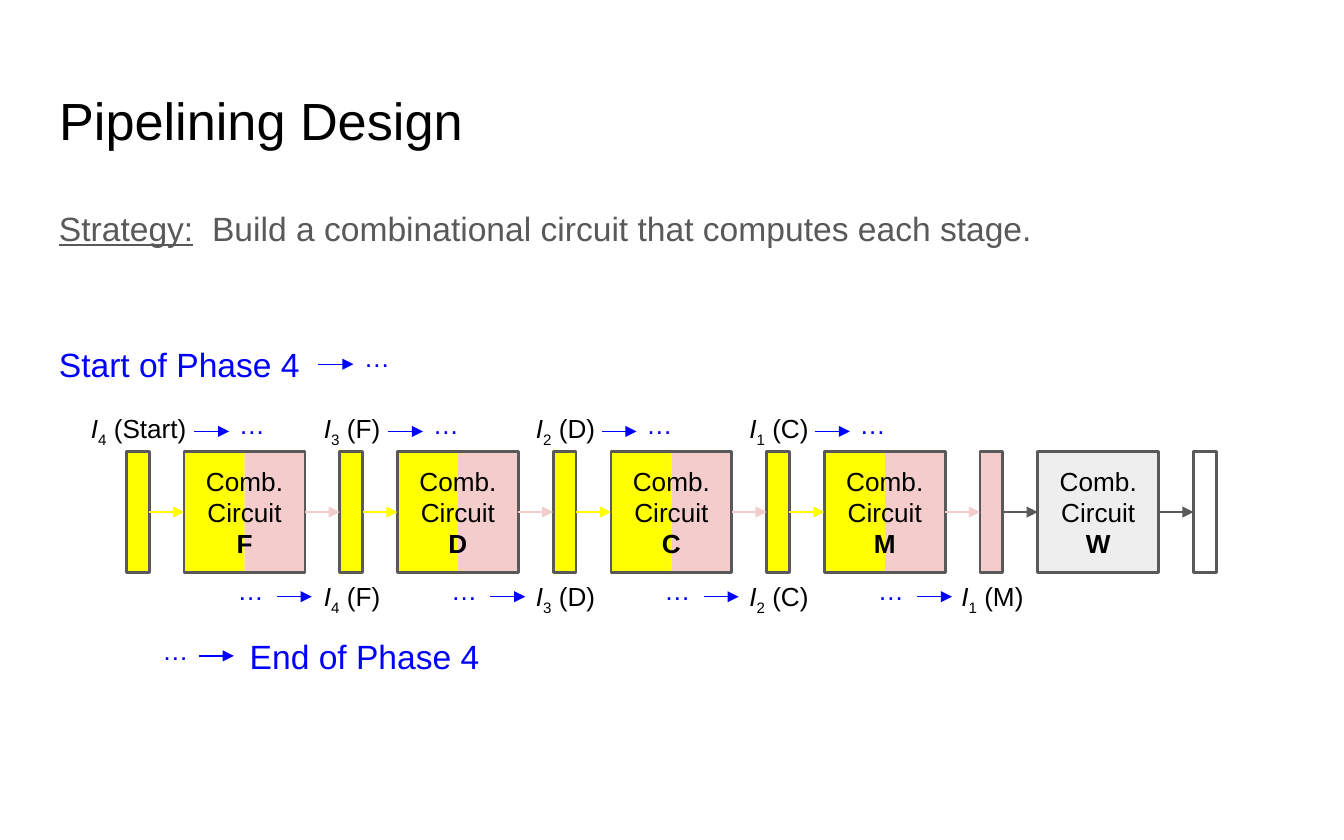
from dataclasses import dataclass

from lxml import etree
from pptx import Presentation
from pptx.dml.color import RGBColor
from pptx.enum.shapes import MSO_CONNECTOR, MSO_SHAPE
from pptx.enum.text import MSO_ANCHOR, PP_ALIGN
from pptx.oxml.ns import qn
from pptx.util import Inches, Pt

RECTANGLE = MSO_SHAPE.RECTANGLE
STRAIGHT = MSO_CONNECTOR.STRAIGHT
LEFT, CENTER = PP_ALIGN.LEFT, PP_ALIGN.CENTER
TOP, MIDDLE = MSO_ANCHOR.TOP, MSO_ANCHOR.MIDDLE
LEFT_SIDE, RIGHT_SIDE = 1, 3

COLUMNS, ROWS = 100, 62.5
PITCH = 15.88
FIRST_REGISTER, FIRST_BLOCK = 9.4, 13.7
REGISTER_WIDTH, BLOCK_SIZE = 1.7, 9
CIRCUIT_TOP = 33.6
ARROW_LENGTH = 2.6
STAGES = "FDCMW"
ACTIVE_STAGES = 4
BEFORE = (("4", "Start"), ("3", "F"), ("2", "D"), ("1", "C"))
AFTER = (("4", "F"), ("3", "D"), ("2", "C"), ("1", "M"))


@dataclass(frozen=True)
class Theme:
    font: str = "Arial"
    ink: str = "000000"
    gray: str = "595959"
    blue: str = "0000FF"
    ready: str = "FFFF00"
    done: str = "F4CCCC"
    idle: str = "EEEEEE"
    title_size: float = 28
    body_size: float = 18
    label_size: float = 14
    outline: float = 1.5
    arrow: float = 0.75


def write_text(frame, paragraphs, *, size, color, font, align=LEFT, anchor=TOP,
               line_spacing=None):
    frame.word_wrap = True
    frame.vertical_anchor = anchor
    frame.margin_left = frame.margin_right = Inches(0.1)
    frame.margin_top = frame.margin_bottom = Inches(0.1)
    for index, runs in enumerate(paragraphs):
        paragraph = frame.add_paragraph() if index else frame.paragraphs[0]
        paragraph.alignment = align
        if line_spacing:
            paragraph.line_spacing = line_spacing
        for text, style in runs:
            run = paragraph.add_run()
            run.text = text
            run.font.name = font
            run.font.size = Pt(size)
            run.font.color.rgb = RGBColor.from_string(color)
            run.font.bold = "bold" in style
            run.font.italic = "italic" in style
            run.font.underline = "underline" in style
            if "subscript" in style:
                run.font._element.set("baseline", "-25000")


class SlideBuilder:
    def __init__(self, presentation, theme):
        self.theme = theme
        self.column = presentation.slide_width / COLUMNS
        self.row = presentation.slide_height / ROWS
        self.slide = presentation.slides.add_slide(presentation.slide_layouts[5])

    def place(self, left, top, width, height):
        return (round(left * self.column), round(top * self.row),
                round(width * self.column), round(height * self.row))

    def title(self, text, *box):
        shape = self.slide.shapes.title
        shape.left, shape.top, shape.width, shape.height = self.place(*box)
        write_text(shape.text_frame, [[(text, "")]], size=self.theme.title_size,
                   color=self.theme.ink, font=self.theme.font, anchor=MIDDLE)

    def text(self, runs, *box, size, color, **style):
        shape = self.slide.shapes.add_textbox(*self.place(*box))
        write_text(shape.text_frame, [runs], size=size, color=color,
                   font=self.theme.font, **style)

    def rectangle(self, *box, fill=None, outlined=True):
        shape = self.slide.shapes.add_shape(RECTANGLE, *self.place(*box))
        shape.shadow.inherit = False
        if fill:
            shape.fill.solid()
            shape.fill.fore_color.rgb = RGBColor.from_string(fill)
        else:
            shape.fill.background()
        if outlined:
            shape.line.color.rgb = RGBColor.from_string(self.theme.gray)
            shape.line.width = Pt(self.theme.outline)
        else:
            shape.line.fill.background()
        return shape

    def block(self, left, stage, active):
        half = BLOCK_SIZE / 2
        if active:
            for offset, color in ((0, self.theme.ready), (half, self.theme.done)):
                self.rectangle(left + offset, CIRCUIT_TOP, half, BLOCK_SIZE,
                               fill=color, outlined=False)
        shape = self.rectangle(left, CIRCUIT_TOP, BLOCK_SIZE, BLOCK_SIZE,
                               fill=None if active else self.theme.idle)
        write_text(shape.text_frame, [[("Comb.", "")], [("Circuit", "")], [(stage, "bold")]],
                   size=self.theme.label_size, color=self.theme.ink,
                   font=self.theme.font, align=CENTER, anchor=MIDDLE)
        return shape

    def connector(self, left, top, color):
        start_x, start_y, length, _ = self.place(left, top, ARROW_LENGTH, 0)
        line = self.slide.shapes.add_connector(
            STRAIGHT, start_x, start_y, start_x + length, start_y)
        line.line.color.rgb = RGBColor.from_string(color)
        line.line.width = Pt(self.theme.arrow)
        etree.SubElement(line.line._get_or_add_ln(), qn("a:tailEnd"), type="triangle")
        etree.SubElement(line._element.spPr, qn("a:effectLst"))
        return line

    def join(self, source, target, color):
        line = self.connector(0, 0, color)
        line.begin_connect(source, RIGHT_SIDE)
        line.end_connect(target, LEFT_SIDE)

    def instruction(self, left, top, number, stage):
        self.text([("I", "italic"), (number, "subscript"), (f" ({stage})", "")],
                  left, top, 10.5, 3.7, size=self.theme.label_size,
                  color=self.theme.ink, align=CENTER)

    def ellipsis(self, left, top):
        self.text([("…", "")], left, top, 5.3, 4.5,
                  size=self.theme.label_size, color=self.theme.blue)

    def phase(self, text, left, top):
        self.text([(text, "")], left, top, 20.7, 4.5,
                  size=self.theme.body_size, color=self.theme.blue)


def draw_pipeline(builder):
    theme = builder.theme
    register_fills = [theme.ready] * ACTIVE_STAGES + [theme.done, None]
    registers = [
        builder.rectangle(FIRST_REGISTER + index * PITCH, CIRCUIT_TOP,
                          REGISTER_WIDTH, BLOCK_SIZE, fill=fill)
        for index, fill in enumerate(register_fills)
    ]
    for index, stage in enumerate(STAGES):
        active = index < ACTIVE_STAGES
        block = builder.block(FIRST_BLOCK + index * PITCH, stage, active)
        builder.join(registers[index], block, theme.ready if active else theme.gray)
        builder.join(block, registers[index + 1], theme.done if active else theme.gray)


def draw_instructions(builder):
    for index, (before, after) in enumerate(zip(BEFORE, AFTER)):
        offset = index * PITCH
        long_label_shift = 0 if index else 1.45
        builder.instruction(5.07 + offset, 29.7, *before)
        builder.connector(13 + offset + long_label_shift, 32.1, builder.theme.blue)
        builder.ellipsis(15.35 + offset + long_label_shift, 29.4)
        builder.ellipsis(16.7 + offset, 41.7)
        builder.connector(20.6 + offset, 44.4, builder.theme.blue)
        builder.instruction(5.07 + offset + PITCH, 42.2, *after)


def main():
    presentation = Presentation()
    presentation.slide_width, presentation.slide_height = Inches(10), Inches(6.25)
    theme = Theme()
    builder = SlideBuilder(presentation, theme)
    builder.title("Pipelining Design", 3.4, 5.4, 93.2, 7)
    builder.text([("Strategy:", "underline"),
                  ("  Build a combinational circuit that computes each stage.", "")],
                 3.4, 14, 93.2, 5.5, size=theme.body_size, color=theme.gray,
                 line_spacing=1.15)
    draw_pipeline(builder)
    draw_instructions(builder)
    builder.phase("Start of Phase 4", 3.4, 24.6)
    builder.connector(23.7, 27.1, theme.blue)
    builder.ellipsis(26.1, 24.4)
    builder.ellipsis(11.1, 46.2)
    builder.connector(14.8, 48.8, theme.blue)
    builder.phase("End of Phase 4", 17.6, 46.3)
    presentation.save("out.pptx")


if __name__ == "__main__":
    main()
